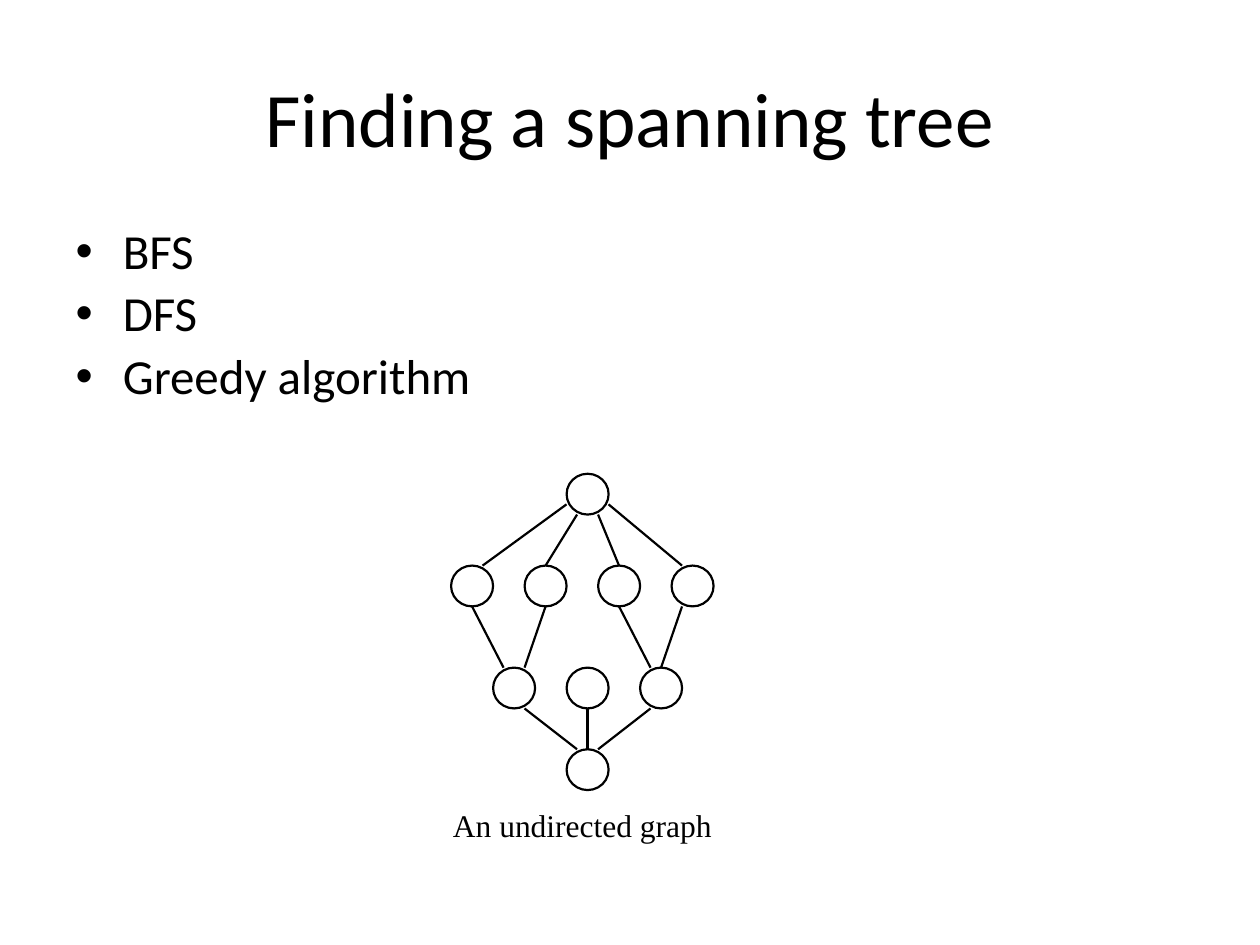
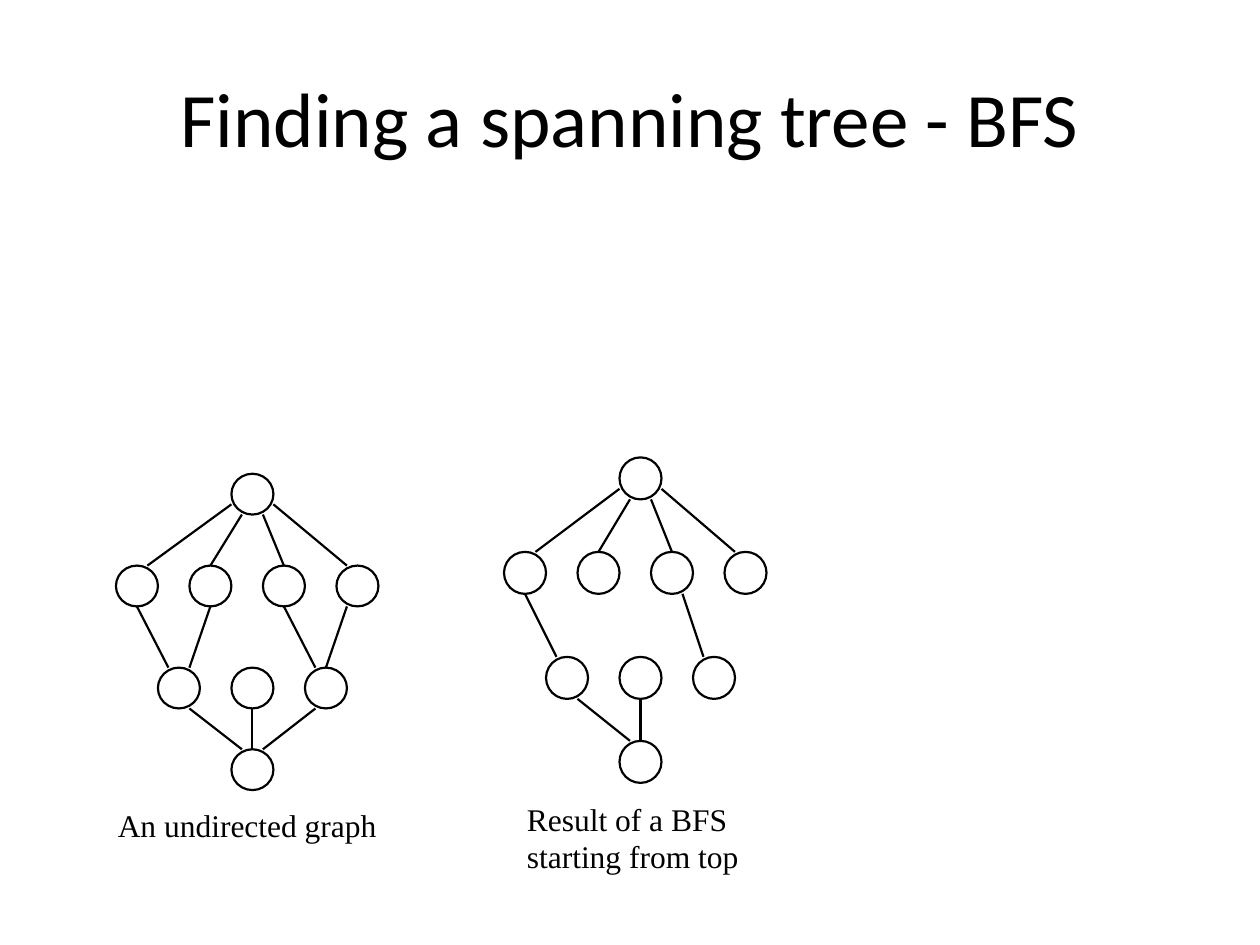
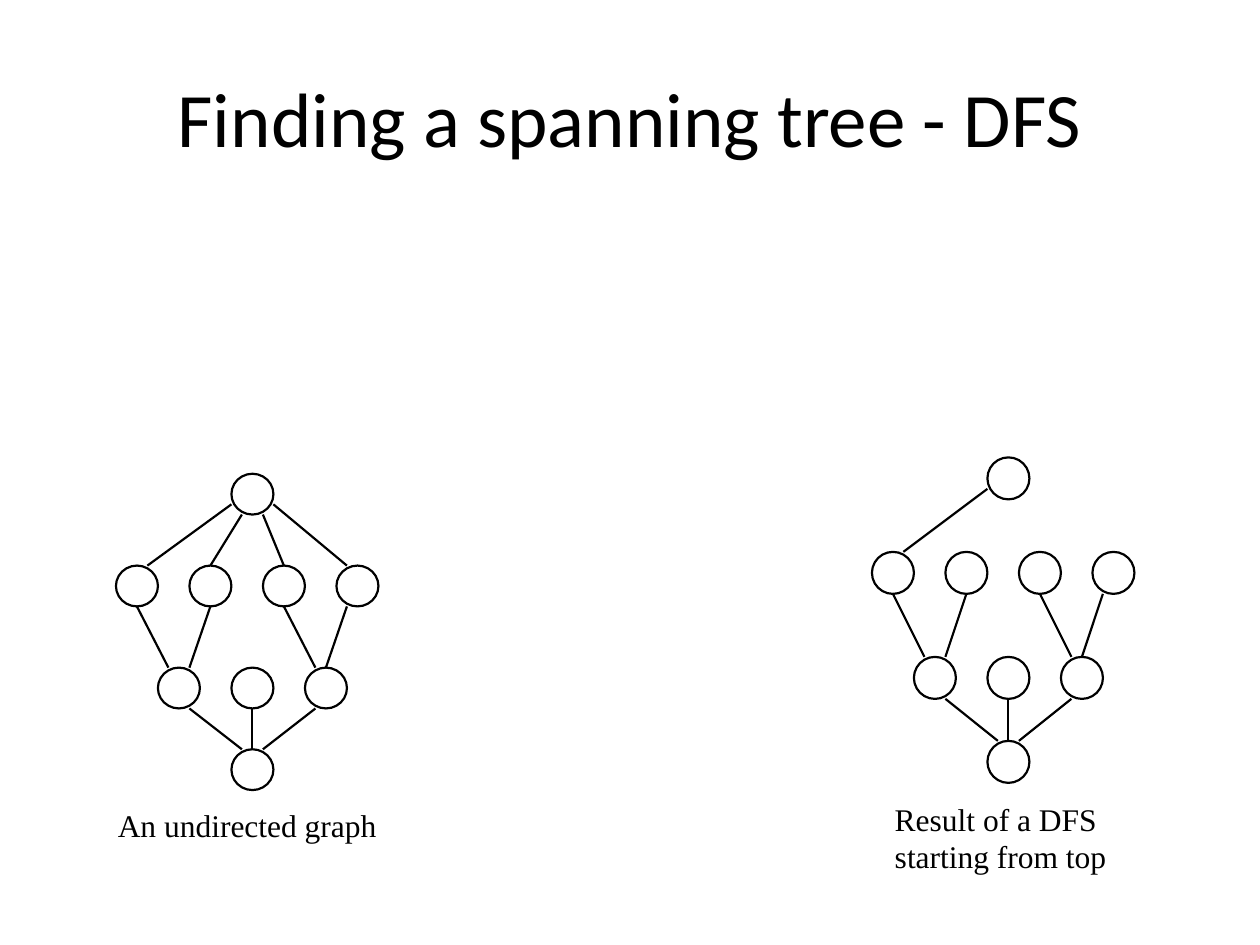
from dataclasses import dataclass

from lxml.etree import SubElement
from pptx import Presentation
from pptx.dml.color import RGBColor
from pptx.enum.shapes import MSO_CONNECTOR, MSO_SHAPE
from pptx.enum.text import MSO_ANCHOR, MSO_AUTO_SIZE, PP_ALIGN
from pptx.oxml.ns import qn
from pptx.util import Inches, Pt


@dataclass(frozen=True)
class Theme:
    ink: RGBColor = RGBColor(0, 0, 0)
    heading_font: str = "Calibri"
    caption_font: str = "Times New Roman"
    title_size: int = 44
    list_size: int = 28
    caption_size: int = 18
    line_width: float = 1.25


THEME = Theme()
TITLE_BOX = (0.5, 0.3, 9, 1.25)
LIST_BOX = (0.5, 1.75, 9, 4.95)
TITLE_AND_LIST, TITLE_ONLY = 1, 5

# Graph geometry in grid units, measured from the leftmost node and the top row.
COLUMN_UNIT = 1 / 12
NODE_SIZE = 4
CAPTION_ROW = 32
NODES = ([(11, 0)]
         + [(column, 9) for column in range(0, 22, 7)]
         + [(column, 19) for column in range(4, 19, 7)]
         + [(11, 27)])
EDGES = {
    "top-a": (11, 3, 3, 9),
    "top-b": (12, 4, 9, 9),
    "top-c": (14, 4, 16, 9),
    "top-d": (15, 3, 22, 9),
    "a-e": (2, 13, 5, 19),
    "b-e": (9, 13, 7, 19),
    "c-g": (16, 13, 19, 19),
    "c-g steep": (17, 13, 19, 19),
    "d-g": (22, 13, 20, 19),
    "e-bottom": (7, 23, 12, 27),
    "f-bottom": (13, 23, 13, 27),
    "g-bottom": (19, 23, 14, 27),
}
ALL_EDGES = [name for name in EDGES if name != "c-g steep"]
BFS_EDGES = ["top-a", "top-b", "top-c", "top-d", "a-e", "c-g steep",
             "e-bottom", "f-bottom"]
DFS_EDGES = [name for name in ALL_EDGES if name not in ("top-b", "top-c", "top-d")]


def style_font(font, name, size):
    font.name = name
    font.size = Pt(size)
    font.color.rgb = THEME.ink


def style_line(line):
    line.color.rgb = THEME.ink
    line.width = Pt(THEME.line_width)


def place(shape, box):
    shape.left, shape.top, shape.width, shape.height = map(Inches, box)


def add_titled_slide(deck, layout, title):
    slide = deck.slides.add_slide(deck.slide_layouts[layout])
    heading = slide.shapes.title
    place(heading, TITLE_BOX)
    heading.text_frame.text = title
    heading.text_frame.vertical_anchor = MSO_ANCHOR.MIDDLE
    para = heading.text_frame.paragraphs[0]
    para.alignment = PP_ALIGN.CENTER
    style_font(para.font, THEME.heading_font, THEME.title_size)
    return slide


def fill_list(slide, items):
    body = slide.placeholders[1]
    place(body, LIST_BOX)
    body.text_frame.text = "\n".join(items)
    for index, para in enumerate(body.text_frame.paragraphs):
        para.line_spacing = 0.9
        para.space_before = Pt(THEME.list_size * 0.2 if index else 0)
        style_font(para.font, THEME.heading_font, THEME.list_size)


def add_caption(shapes, box, text):
    caption = shapes.add_textbox(*map(Inches, box))
    frame = caption.text_frame
    frame.word_wrap = True
    frame.auto_size = MSO_AUTO_SIZE.SHAPE_TO_FIT_TEXT
    para = frame.paragraphs[0]
    para.text = text
    for span in para.runs:
        style_font(span.font, THEME.caption_font, THEME.caption_size)


def add_graph(slide, left, top, row_unit, edges, caption, caption_shift, caption_size):
    """Draw the nodes, the named edges and a caption below as one group."""
    shapes = slide.shapes.add_group_shape().shapes

    def point(column, row):
        return left + column * COLUMN_UNIT, top + row * row_unit

    node_size = (NODE_SIZE * COLUMN_UNIT, NODE_SIZE * row_unit)
    for node in NODES:
        circle = shapes.add_shape(MSO_SHAPE.OVAL, *map(Inches, point(*node) + node_size))
        circle.shadow.inherit = False
        circle.fill.background()
        style_line(circle.line)
    for name in edges:
        edge = EDGES[name]
        ends = point(*edge[:2]) + point(*edge[2:])
        connector = shapes.add_connector(MSO_CONNECTOR.STRAIGHT, *map(Inches, ends))
        style_line(connector.line)
        SubElement(connector._element.spPr, qn("a:effectLst"))
    add_caption(shapes, point(caption_shift, CAPTION_ROW) + caption_size, caption)


def add_undirected_graph(slide, left):
    add_graph(slide, left, 3.76, 0.081, ALL_EDGES, "An undirected graph", -1, (2.5, 0.4))


def add_search_slide(deck, search, left, edges):
    slide = add_titled_slide(deck, TITLE_ONLY, f"Finding a spanning tree - {search}")
    add_undirected_graph(slide, 0.92)
    add_graph(slide, left, 3.63, COLUMN_UNIT, edges,
              f"Result of a {search}\vstarting from top", 1, (2, 0.7))


def main():
    deck = Presentation()
    deck.slide_width, deck.slide_height = Inches(10), Inches(7.5)
    overview = add_titled_slide(deck, TITLE_AND_LIST, "Finding a spanning tree")
    fill_list(overview, ["BFS", "DFS", "Greedy algorithm"])
    add_undirected_graph(overview, 3.58)
    add_search_slide(deck, "BFS", 4, BFS_EDGES)
    add_search_slide(deck, "DFS", 6.92, DFS_EDGES)
    deck.save("out.pptx")


if __name__ == "__main__":
    main()
